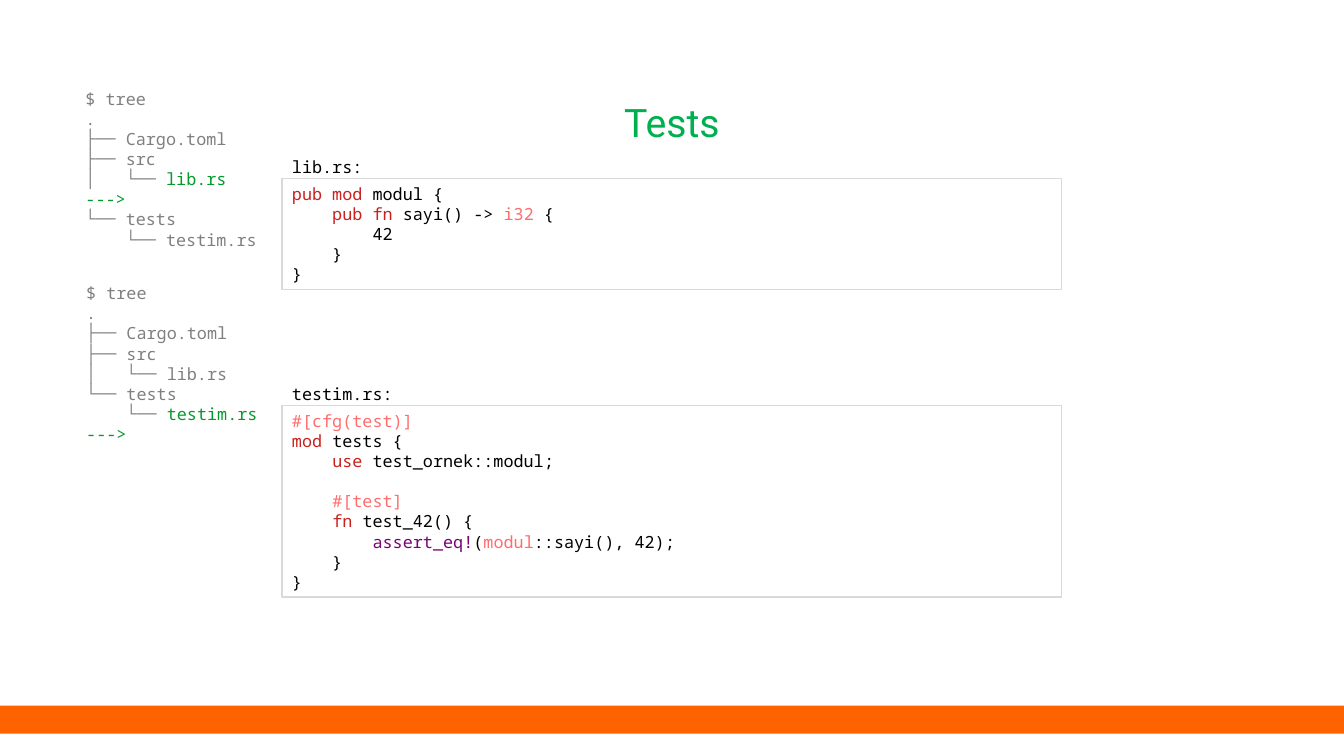
import pptx
import pptx.util
import pptx.dml.color
import pptx.enum.shapes
import pptx.enum.text

Pt = pptx.util.Pt
Shape = pptx.enum.shapes.MSO_SHAPE
Enum = pptx.enum.text

# Content: each line is a list of (text, colour) runs
COLORS = {
    "white": "FFFFFF", "black": "000000", "gray": "808080", "edge": "D9D9D9",
    "title": "00B050", "green": "069A2E", "red": "C9211E", "pink": "FF6D6D",
    "plum": "780373", "band": "FF6200",
}
TITLE = "Tests"
HEAD = [[(t, "gray")] for t in ("$ tree", ".", "├── Cargo.toml", "├── src")]
ARROW = [("--->", "green")]
TREES = [
    (54, 59.5, HEAD + [
        [("│   └── ", "gray"), ("lib.rs", "green")],
        ARROW,
        [("└── tests", "gray")],
        [("    └── testim.rs", "gray")],
    ]),
    (54.5, 198.5, HEAD + [
        [("│   └── lib.rs", "gray")],
        [("└── tests", "gray")],
        [("    └── ", "gray"), ("testim.rs", "green")],
        ARROW,
    ]),
]
CODES = [
    ("lib.rs:", 127.5, 79.5, [
        [("pub mod ", "red"), ("modul {", "black")],
        [("    ", "red"), ("pub fn", "red"), (" sayi() -> ", "black"),
         ("i32", "pink"), (" {", "black")],
        [("        42", "black")],
        [("    }", "black")],
        [("}", "black")],
    ]),
    ("testim.rs:", 289.5, 137, [
        [("#[cfg(test)]", "pink")],
        [("mod", "red"), (" tests {", "black")],
        [("    ", "black"), ("use", "red"), (" test_ornek::modul;", "black")],
        [],
        [("    ", "black"), ("#[test]", "pink")],
        [("    ", "black"), ("fn", "red"), (" test_42() {", "black")],
        [("        ", "black"), ("assert_eq!", "plum"), ("(", "black"),
         ("modul", "pink"), ("::sayi(), 42);", "black")],
        [("    }", "black")],
        [("}", "black")],
    ]),
]

# Layout and formats
WIDE, HIGH = 960, 540
LEFT, SPAN = 201.5, 557
MONO = {"name": "Noto Sans Mono", "size": Pt(12)}
SANS = {"name": "Roboto", "size": Pt(28), "bold": False}
FRAME = {
    "word_wrap": True, "auto_size": Enum.MSO_AUTO_SIZE.NONE,
    "vertical_anchor": Enum.MSO_ANCHOR.TOP,
    "margin_left": Pt(7.2), "margin_right": Pt(7.2),
    "margin_top": Pt(3.6), "margin_bottom": Pt(3.6),
}


def apply(obj, form):
    for key, val in form.items():
        setattr(obj, key, val)


def color(name):
    return pptx.dml.color.RGBColor.from_string(COLORS[name])


def write(shape, lines, font, align=Enum.PP_ALIGN.LEFT):
    frame = shape.text_frame
    apply(frame, FRAME)
    for i, line in enumerate(lines):
        para = frame.add_paragraph() if i else frame.paragraphs[0]
        para.alignment = align
        apply(para.font, font)
        for text, tint in line:
            run = para.add_run()
            run.text = text
            apply(run.font, font)
            run.font.color.rgb = color(tint)


def box(slide, place, fill, edge=None):
    shape = slide.shapes.add_shape(Shape.RECTANGLE, *map(Pt, place))
    shape.shadow.inherit = False
    shape.fill.solid()
    shape.fill.fore_color.rgb = color(fill)
    if edge:
        shape.line.color.rgb = color(edge)
        shape.line.width = Pt(1)
    else:
        shape.line.fill.background()
    return shape


def label(slide, place, lines):
    write(slide.shapes.add_textbox(*map(Pt, place)), lines, MONO)


def main():
    deck = pptx.Presentation()
    deck.slide_width, deck.slide_height = Pt(WIDE), Pt(HIGH)
    slide = deck.slides.add_slide(deck.slide_layouts[5])

    # Title
    title = slide.shapes.title
    apply(title, {"left": Pt(LEFT), "top": Pt(70.5),
                  "width": Pt(SPAN), "height": Pt(43)})
    write(title, [[(TITLE, "title")]], SANS, Enum.PP_ALIGN.CENTER)
    title.text_frame.paragraphs[0].line_spacing = 0.9

    # Bottom band
    box(slide, (0, 504, WIDE, 20), "band")

    # Code boxes, each with its file name above
    for name, top, high, lines in CODES:
        code = box(slide, (LEFT, top, SPAN, high), "white", "edge")
        write(code, lines, MONO)
        label(slide, (LEFT, top - 19, 86.5, 21), [[(name, "black")]])

    # Directory trees
    for left, top, lines in TREES:
        label(slide, (left, top, 155.5, 122), lines)

    deck.save("out.pptx")


if __name__ == "__main__":
    main()
